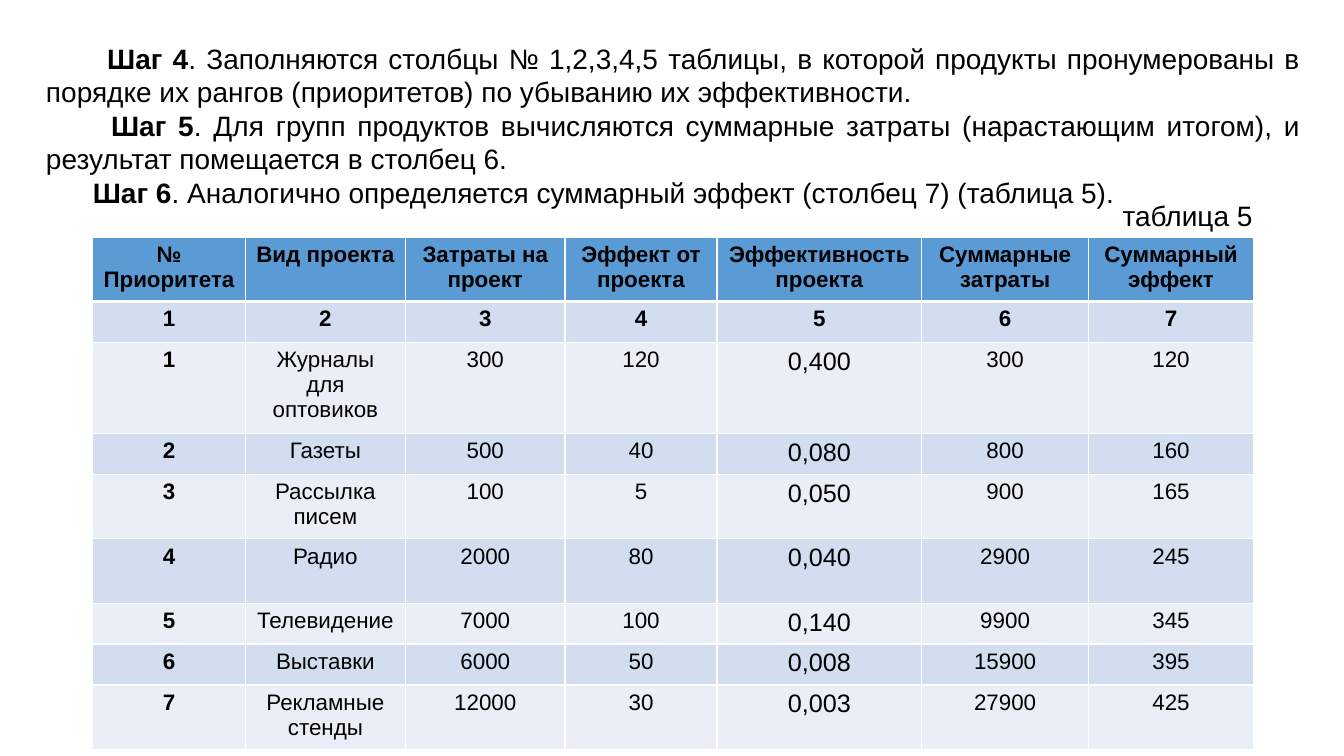
from typing import NamedTuple

from lxml.etree import SubElement
from pptx import Presentation
from pptx.dml.color import RGBColor
from pptx.enum.text import MSO_AUTO_SIZE, PP_ALIGN
from pptx.oxml.ns import qn
from pptx.util import Cm, Pt

BLACK = RGBColor(0x00, 0x00, 0x00)
WHITE = RGBColor(0xFF, 0xFF, 0xFF)
HEADER_BLUE = RGBColor(0x5B, 0x9B, 0xD5)
BAND_DARK = RGBColor(0xD2, 0xDE, 0xEF)
BAND_LIGHT = RGBColor(0xEA, 0xEF, 0xF7)
FONT = "Arial"


class Step(NamedTuple):
    name: str
    text: str
    indent: float  # first line, cm


class Column(NamedTuple):
    title: str
    width: float  # cm
    size: int = 16


class Project(NamedTuple):
    name: str
    cost: str
    effect: str
    efficiency: str
    total_cost: str
    total_effect: str
    height: float  # cm


STEPS = [
    Step("Шаг 4", ". Заполняются столбцы № 1,2,3,4,5 таблицы, в которой продукты "
         "пронумерованы в порядке их рангов (приоритетов) по убыванию их эффективности.", 1.54),
    Step("Шаг 5", ". Для групп продуктов вычисляются суммарные затраты "
         "(нарастающим итогом), и результат помещается в столбец 6.", 1.64),
    Step("Шаг 6", ". Аналогично определяется суммарный эффект (столбец 7) (таблица 5).", 1.18),
]
COLUMNS = [
    Column("№ Приоритета", 3.84),
    Column("Вид проекта", 4.04),
    Column("Затраты на проект", 4.02),
    Column("Эффект от проекта", 3.83),
    Column("Эффективность проекта", 5.16, 18),
    Column("Суммарные затраты", 4.2),
    Column("Суммарный эффект", 4.16),
]
HEADER_HEIGHT, NUMBER_HEIGHT = 1.61, 1.03
PROJECTS = [
    Project("Журналы для оптовиков", "300", "120", "0,400", "300", "120", 2.3),
    Project("Газеты", "500", "40", "0,080", "800", "160", 1.03),
    Project("Рассылка писем", "100", "5", "0,050", "900", "165", 1.62),
    Project("Радио", "2000", "80", "0,040", "2900", "245", 1.62),
    Project("Телевидение", "7000", "100", "0,140", "9900", "345", 1.03),
    Project("Выставки", "6000", "50", "0,008", "15900", "395", 1.03),
    Project("Рекламные стенды", "12000", "30", "0,003", "27900", "425", 1.62),
]


def add_span(para, text: str, *, size: int = 20, bold: bool = False) -> None:
    span = para.add_run()
    span.text = text
    span.font.name = FONT
    span.font.size = Pt(size)
    span.font.bold = bold
    span.font.color.rgb = BLACK


def add_box(page, left: float, top: float, width: float, height: float, *, wrap: bool):
    box = page.shapes.add_textbox(Cm(left), Cm(top), Cm(width), Cm(height))
    frame = box.text_frame
    frame.word_wrap = wrap
    frame.auto_size = MSO_AUTO_SIZE.SHAPE_TO_FIT_TEXT
    return frame


def add_steps(page) -> None:
    frame = add_box(page, 0.91, 0.91, 32.11, 4.52, wrap=True)
    for index, step in enumerate(STEPS):
        para = frame.add_paragraph() if index else frame.paragraphs[0]
        para.alignment = PP_ALIGN.JUSTIFY
        properties = para._p.get_or_add_pPr()
        properties.set("marL", "0")
        properties.set("indent", str(Cm(step.indent)))
        add_span(para, step.name, bold=True)
        add_span(para, step.text)


def set_borders(cell, **widths: float) -> None:
    """Draw white cell borders; they must precede the fill in the XML."""
    properties = cell._tc.get_or_add_tcPr()
    for side, width in widths.items():
        line = SubElement(properties, qn(f"a:ln{side}"), w=str(Pt(width)))
        fill = SubElement(line, qn("a:solidFill"))
        SubElement(fill, qn("a:srgbClr"), val=str(WHITE))


def fill_cell(cell, text: str, *, size: int, bold: bool, color: RGBColor,
              top: float = 1, bottom: float = 1) -> None:
    set_borders(cell, L=1, R=1, T=top, B=bottom)
    cell.fill.solid()
    cell.fill.fore_color.rgb = color
    para = cell.text_frame.paragraphs[0]
    para.alignment = PP_ALIGN.CENTER
    add_span(para, text, size=size, bold=bold)


def add_project_table(page) -> None:
    heights = [HEADER_HEIGHT, NUMBER_HEIGHT] + [project.height for project in PROJECTS]
    rows = [[column.title for column in COLUMNS],
            [str(number) for number in range(1, len(COLUMNS) + 1)]]
    rows += [[str(rank), *project[:-1]] for rank, project in enumerate(PROJECTS, 1)]
    width = sum(column.width for column in COLUMNS)
    table = page.shapes.add_table(len(rows), len(COLUMNS), Cm(2.34), Cm(5.99),
                                  Cm(width), Cm(sum(heights))).table
    for index, column in enumerate(COLUMNS):
        table.columns[index].width = Cm(column.width)
    for row, (values, height) in enumerate(zip(rows, heights)):
        table.rows[row].height = Cm(height)
        band = BAND_DARK if row % 2 else BAND_LIGHT
        for index, value in enumerate(values):
            fill_cell(table.cell(row, index), value,
                      size=COLUMNS[index].size if row > 1 else 16,
                      bold=row < 2 or index == 0,
                      color=band if row else HEADER_BLUE,
                      top=3 if row == 1 else 1,
                      bottom=1 if row else 3)


def main() -> None:
    deck = Presentation()
    deck.slide_width, deck.slide_height = Cm(33.87), Cm(19.05)
    page = deck.slides.add_slide(deck.slide_layouts[6])

    # Steps, table and its caption
    add_steps(page)
    add_project_table(page)
    caption = add_box(page, 28.04, 4.88, 3.81, 1.11, wrap=False)
    add_span(caption.paragraphs[0], "таблица 5")

    deck.save("out.pptx")


if __name__ == "__main__":
    main()
